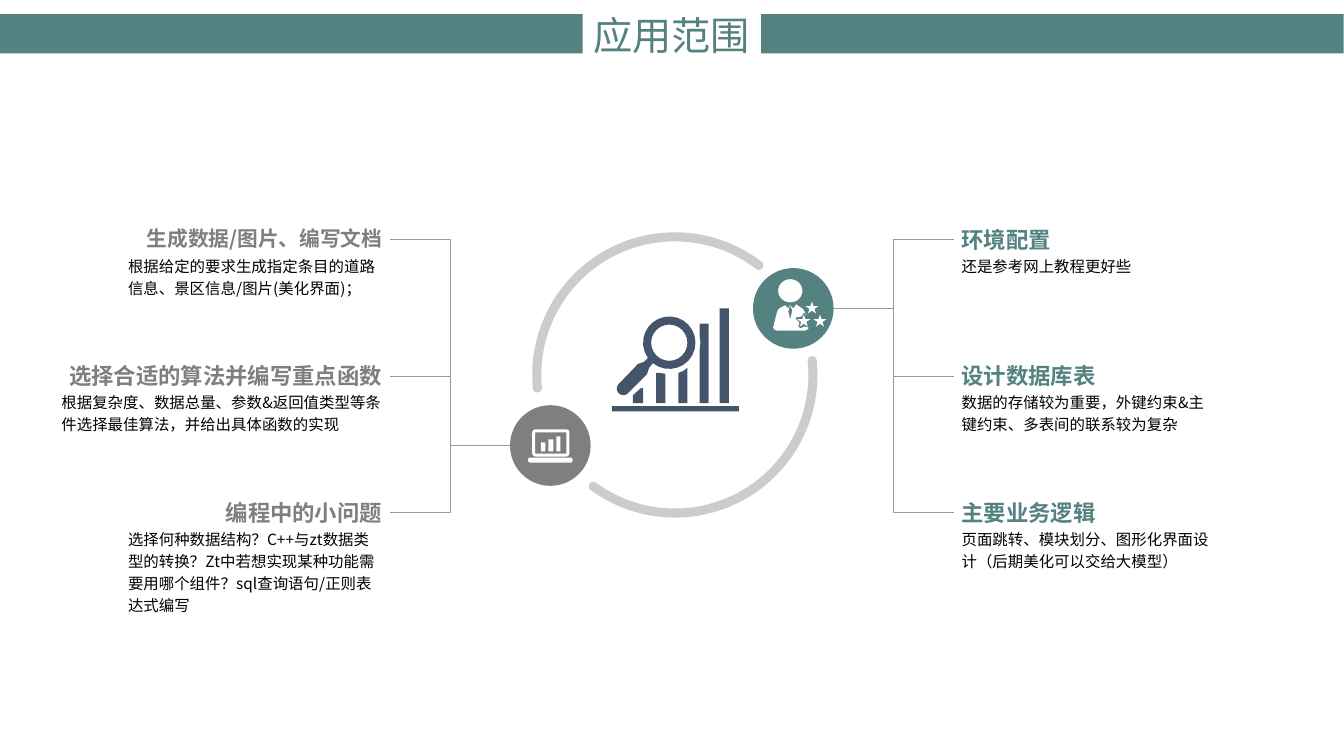
from math import cos, radians, sin
from typing import NamedTuple

from lxml.etree import SubElement
from pptx import Presentation
from pptx.dml.color import RGBColor
from pptx.enum.shapes import MSO_CONNECTOR, MSO_SHAPE
from pptx.enum.text import MSO_ANCHOR, MSO_AUTO_SIZE, PP_ALIGN
from pptx.oxml.ns import qn
from pptx.util import Emu, Inches, Pt

GRID_UNIT = Inches(0.1)
SLIDE_COLUMNS, SLIDE_ROWS = 133.33, 75
FONT_NAME = "Noto Sans CJK SC"
TEAL, GRAY, SILVER, NAVY = "548280", "7F7F7F", "CCCCCC", "44546A"
LINE_GRAY, WHITE, BLACK = "999999", "FFFFFF", "000000"

FIRST_HEADING_ROW, TOPIC_STEP = 22.4, 13.55
HEADING_HEIGHT, BODY_HEIGHT = 2.7, 5.2
BADGE_SIZE = 8

Point = tuple[float, float]
Contour = list[Point]


class Topic(NamedTuple):
    heading: str
    body: str
    columns: float = 26.8
    heading_size: float = 16


class Side(NamedTuple):
    topics: list[Topic]
    edge: float
    badge_left: float
    badge_top: float
    color: str
    on_left: bool


class Bar(NamedTuple):
    left: float
    top: float
    right: float
    bottom: float
    radius: float


SIDES = [
    Side([
        Topic("生成数据/图片、编写文档", "根据给定的要求生成指定条目的道路信息、景区信息/图片(美化界面)；", heading_size=14.8),
        Topic("选择合适的算法并编写重点函数", "根据复杂度、数据总量、参数&返回值类型等条件选择最佳算法，并给出具体函数的实现", columns=33.4),
        Topic("编程中的小问题", "选择何种数据结构？C++与zt数据类型的转换？Zt中若想实现某种功能需要用哪个组件？sql查询语句/正则表达式编写"),
    ], edge=38.7, badge_left=50.6, badge_top=40.2, color=GRAY, on_left=True),
    Side([
        Topic("环境配置", "还是参考网上教程更好些"),
        Topic("设计数据库表", "数据的存储较为重要，外键约束&主键约束、多表间的联系较为复杂"),
        Topic("主要业务逻辑", "页面跳转、模块划分、图形化界面设计（后期美化可以交给大模型）"),
    ], edge=94.6, badge_left=74.7, badge_top=26.6, color=TEAL, on_left=False),
]

LAPTOP_PARTS = [
    Bar(52.4, 45.4, 56.8, 45.9, 0.2),
    Bar(52.8, 42.6, 56.5, 45.3, 0.35),
    Bar(53.1, 42.9, 56.2, 45, 0.05),
    Bar(53.65, 43.9, 54.1, 44.8, 0.05),
    Bar(54.4, 43.6, 54.9, 44.8, 0.05),
    Bar(55.2, 43.3, 55.6, 44.8, 0.05),
]

CHART_BARS: list[Contour] = [
    [(60.7, 40.3), (73.3, 40.3), (73.3, 40.8), (60.7, 40.8)],
    [(63.6, 38.5), (63.8, 38.5), (63.8, 40), (62.8, 40), (62.8, 39.2)],
    [(65.1, 37), (65.5, 37), (66, 37.1), (66, 40), (65.1, 40)],
    [(68.2, 36.5), (68.2, 40), (67.3, 40), (67.3, 37), (67.8, 36.8)],
    [(69.4, 32.1), (70.3, 32.1), (70.3, 40), (69.4, 40), (69.4, 34.8), (69.5, 34), (69.4, 33.2)],
    [(71.4, 30.6), (72.3, 30.6), (72.3, 40), (71.4, 40)],
]

PERSON_BODY: Contour = [
    (79, 30.2), (78.7, 30.6), (78.4, 30.3), (78.6, 30.8), (78.4, 31.7), (78.2, 30.9), (78.4, 30.2),
    (78.2, 30.6), (77.9, 30.3), (77.3, 30.6), (77.1, 30.9), (76.7, 32.5), (76.8, 32.7), (77.1, 32.8),
    (79.9, 32.8), (80.2, 32.6), (80.2, 32.5), (79.8, 32.4), (79.4, 32.6), (79.2, 32.4), (79.3, 32),
    (78.9, 31.6), (79, 31.5), (79.5, 31.4), (79.7, 31.1), (79.8, 31), (80, 31.3), (79.7, 30.7),
]

STAR_CORNERS: list[Point] = [(79.1, 31.2), (80.7, 31.2), (79.9, 29.9)]


def grid(cells: float) -> Emu:
    return Emu(round(cells * GRID_UNIT))


def color_of(value: str) -> RGBColor:
    return RGBColor.from_string(value)


def paint(shape, color: str) -> None:
    shape.shadow.inherit = False
    shape.fill.solid()
    shape.fill.fore_color.rgb = color_of(color)
    shape.line.fill.background()


def add_preset(slide, kind, left: float, top: float, width: float, height: float, color: str) -> None:
    paint(slide.shapes.add_shape(kind, grid(left), grid(top), grid(width), grid(height)), color)


def add_outline(slide, contours: list[Contour], color: str) -> None:
    outlines = [[(grid(x), grid(y)) for x, y in contour] for contour in contours]
    builder = slide.shapes.build_freeform(*outlines[0][0], scale=1.0)
    builder.add_line_segments(outlines[0][1:], close=True)
    for outline in outlines[1:]:
        builder.move_to(*outline[0])
        builder.add_line_segments(outline[1:], close=True)
    paint(builder.convert_to_shape(), color)


def arc(center: Point, radius: float, start: float, end: float, steps: int = 24) -> Contour:
    angles = [radians(start + (end - start) * step / steps) for step in range(steps + 1)]
    return [(center[0] + radius * cos(angle), center[1] + radius * sin(angle)) for angle in angles]


def rounded_box(bar: Bar) -> Contour:
    left, right = bar.left + bar.radius, bar.right - bar.radius
    top, bottom = bar.top + bar.radius, bar.bottom - bar.radius
    corners = [(right, bottom), (left, bottom), (left, top), (right, top)]
    return [point for index, corner in enumerate(corners)
            for point in arc(corner, bar.radius, index * 90, index * 90 + 90, steps=6)]


def ring_band(start: float, end: float) -> Contour:
    center, radius, half_width = (66.95, 37.2), 13.7, 0.45
    start_cap = arc(center, radius, start, start, steps=1)[0]
    end_cap = arc(center, radius, end, end, steps=1)[0]
    return (arc(center, radius + half_width, start, end, steps=60)
            + arc(end_cap, half_width, end, end + 180)
            + arc(center, radius - half_width, end, start, steps=60)
            + arc(start_cap, half_width, start + 180, start + 360))


def write(frame, text: str, *, size: float, color: str, bold: bool = False,
          align=PP_ALIGN.LEFT, spacing: float = 1.0) -> None:
    paragraph = frame.paragraphs[0]
    paragraph.alignment = align
    paragraph.line_spacing = spacing
    run = paragraph.add_run()
    run.text = text
    run.font.size = Pt(size)
    run.font.bold = bold
    run.font.color.rgb = color_of(color)
    run.font.name = FONT_NAME
    SubElement(run._r.get_or_add_rPr(), qn("a:ea")).set("typeface", FONT_NAME)


def add_text(slide, text: str, left: float, top: float, width: float, height: float, **text_format) -> None:
    frame = slide.shapes.add_textbox(grid(left), grid(top), grid(width), grid(height)).text_frame
    frame.word_wrap = True
    frame.margin_left = frame.margin_right = grid(0.8)
    frame.margin_top = frame.margin_bottom = 0
    write(frame, text, **text_format)


def add_elbow(slide, start: Point, end: Point) -> None:
    connector = slide.shapes.add_connector(MSO_CONNECTOR.ELBOW, *map(grid, start + end))
    connector.line.color.rgb = color_of(LINE_GRAY)
    connector.line.width = Pt(0.5)
    SubElement(connector._element.spPr, qn("a:effectLst"))


def add_header(slide) -> None:
    title_left, title_width = 57.8, 17.7
    for left in (0, title_left + title_width):
        add_preset(slide, MSO_SHAPE.RECTANGLE, left, 1.4, title_left, 3.9, TEAL)
    title = slide.shapes.title
    title.left, title.top, title.width, title.height = map(grid, (title_left, 0.6, title_width, 5.7))
    frame = title.text_frame
    frame.word_wrap = False
    frame.auto_size = MSO_AUTO_SIZE.NONE
    frame.vertical_anchor = MSO_ANCHOR.MIDDLE
    write(frame, "应用范围", size=28, color=TEAL, align=PP_ALIGN.CENTER)


def add_side(slide, side: Side) -> None:
    add_preset(slide, MSO_SHAPE.OVAL, side.badge_left, side.badge_top, BADGE_SIZE, BADGE_SIZE, side.color)
    badge_edge = (side.badge_left + (0 if side.on_left else BADGE_SIZE), side.badge_top + BADGE_SIZE / 2)
    align = PP_ALIGN.RIGHT if side.on_left else PP_ALIGN.LEFT
    for index, topic in enumerate(side.topics):
        top = FIRST_HEADING_ROW + index * TOPIC_STEP
        left = side.edge - topic.columns if side.on_left else side.edge
        add_text(slide, topic.body, left, top + HEADING_HEIGHT, topic.columns, BODY_HEIGHT,
                 size=11, color=BLACK, spacing=1.2)
        add_text(slide, topic.heading, left, top, topic.columns, HEADING_HEIGHT,
                 size=topic.heading_size, color=side.color, bold=True, align=align)
        add_elbow(slide, (side.edge, top + HEADING_HEIGHT / 2), badge_edge)


def add_chart_icon(slide) -> None:
    lens = (66.4, 34)
    magnifier = (arc(lens, 2.6, 144.5, 488.7) + [(64.4, 36.5), (64.2, 37.1)]
                 + arc((61.85, 38.55), 0.65, 45, 225) + [(63.3, 36.1), (63.9, 35.9)])
    add_outline(slide, CHART_BARS + [magnifier, arc(lens, 1.8, 0, 360)], NAVY)


def add_person_icon(slide) -> None:
    add_outline(slide, [PERSON_BODY], WHITE)
    add_preset(slide, MSO_SHAPE.OVAL, 77.2, 27.7, 2.4, 2.3, WHITE)
    for left, top in STAR_CORNERS:
        add_preset(slide, MSO_SHAPE.STAR_5_POINT, left, top, 1.3, 1.2, WHITE)


def main() -> None:
    presentation = Presentation()
    presentation.slide_width, presentation.slide_height = grid(SLIDE_COLUMNS), grid(SLIDE_ROWS)
    slide = presentation.slides.add_slide(presentation.slide_layouts[5])
    add_header(slide)
    add_outline(slide, [ring_band(174.6, 307.4), ring_band(-5.9, 126.2)], SILVER)
    add_chart_icon(slide)
    for side in SIDES:
        add_side(slide, side)
    add_outline(slide, [rounded_box(part) for part in LAPTOP_PARTS], WHITE)
    add_person_icon(slide)
    presentation.save("out.pptx")


if __name__ == "__main__":
    main()
